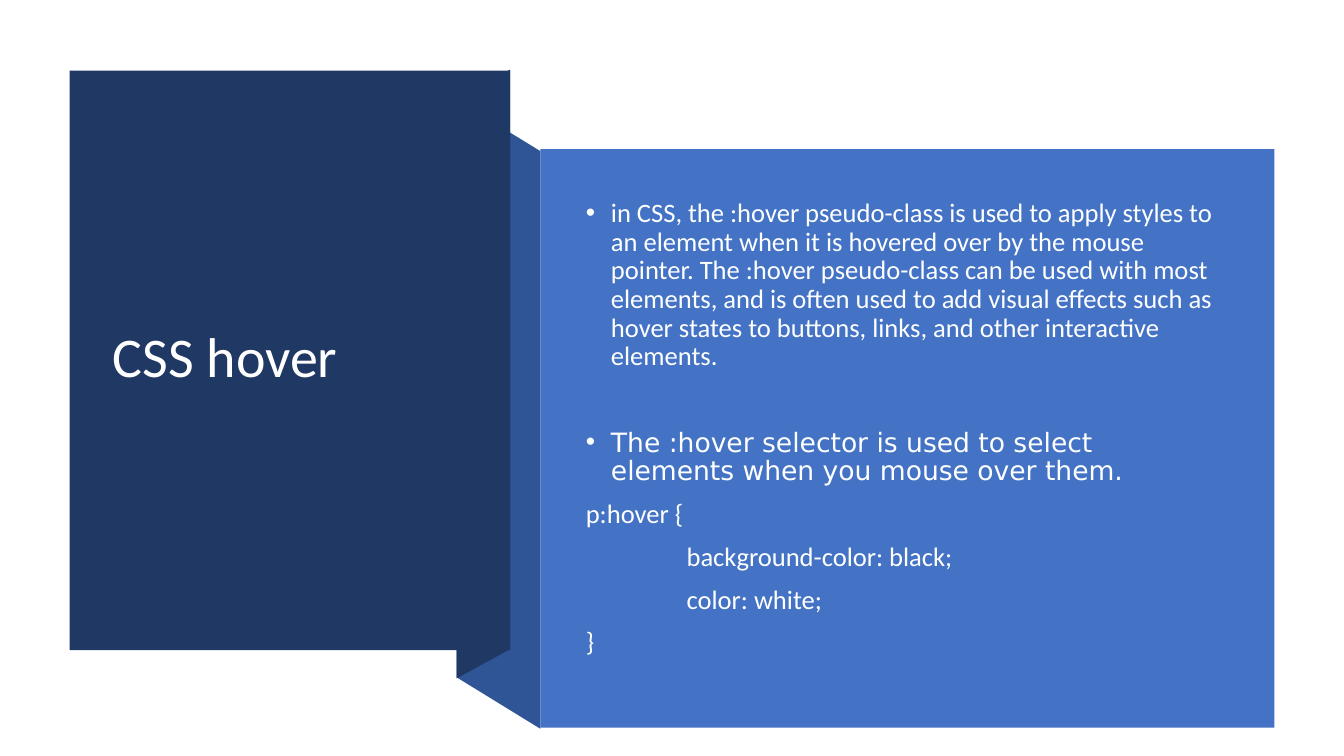
from lxml.etree import SubElement
from pptx import Presentation
from pptx.dml.color import RGBColor
from pptx.enum.shapes import MSO_SHAPE
from pptx.enum.text import MSO_ANCHOR, MSO_AUTO_SIZE, PP_ALIGN
from pptx.oxml.ns import qn
from pptx.util import Inches, Pt

NAVY = RGBColor(0x20, 0x38, 0x64)
FOLD_BLUE = RGBColor(0x2F, 0x55, 0x97)
PANEL_BLUE = RGBColor(0x44, 0x72, 0xC4)
WHITE = RGBColor(0xFF, 0xFF, 0xFF)
OFF_WHITE = RGBColor(0xFE, 0xFF, 0xFF)

DEFINITION = (
    "in CSS, the :hover pseudo-class is used to apply styles to an element when it is "
    "hovered over by the mouse pointer. The :hover pseudo-class can be used with most "
    "elements, and is often used to add visual effects such as hover states to buttons, "
    "links, and other interactive elements."
)
SELECTOR = "The :hover selector is used to select elements when you mouse over them."
RULE = [("p:hover {", 0), ("background-color: black;", 1), ("color: white;", 1), ("}", 0)]


def paint(surface, color):
    surface.shadow.inherit = False
    surface.fill.solid()
    surface.fill.fore_color.rgb = color
    surface.line.fill.background()


def add_panel(slide, left, top, width, height, color):
    panel = slide.shapes.add_shape(
        MSO_SHAPE.RECTANGLE, Inches(left), Inches(top), Inches(width), Inches(height))
    paint(panel, color)


def add_fold(slide, corners, color):
    start, *others = [(Inches(x), Inches(y)) for x, y in corners]
    outline = slide.shapes.build_freeform(*start)
    outline.add_line_segments(others, close=True)
    paint(outline.convert_to_shape(), color)


def place(slide, holder, left, top, width, height):
    holder.left, holder.top = Inches(left), Inches(top)
    holder.width, holder.height = Inches(width), Inches(height)
    slide.shapes._spTree.append(holder._element)
    frame = holder.text_frame
    frame.word_wrap = True
    frame.auto_size = MSO_AUTO_SIZE.NONE
    frame.vertical_anchor = MSO_ANCHOR.MIDDLE
    return frame


def write(paragraph, text, size=19, color=OFF_WHITE, font="Calibri",
          before=10, margin=0, bullet=False):
    paragraph.alignment = PP_ALIGN.LEFT
    paragraph.line_spacing = 0.9
    paragraph.space_before = Pt(before)
    run = paragraph.add_run()
    run.text = text
    run.font.size = Pt(size)
    run.font.name = font
    run.font.color.rgb = color
    properties = paragraph._p.get_or_add_pPr()
    properties.set("marL", str(Inches(margin)))
    properties.set("indent", str(Inches(-margin if bullet else 0)))
    if bullet:
        SubElement(properties, qn("a:buFont"), typeface="Arial")
        SubElement(properties, qn("a:buChar"), char="•")
    else:
        SubElement(properties, qn("a:buNone"))


def main():
    deck = Presentation()
    deck.slide_width, deck.slide_height = Inches(13.33), Inches(7.5)
    slide = deck.slides.add_slide(deck.slide_layouts[1])

    add_fold(slide, [(5.36, 7.23), (4.53, 6.72), (4.53, 0.99), (5.36, 1.5)], FOLD_BLUE)
    add_fold(slide, [(5.06, 6.44), (4.53, 6.73), (4.53, 0.98), (5.06, 0.69)], NAVY)
    add_panel(slide, 0.69, 0.7, 4.37, 5.75, NAVY)
    add_panel(slide, 5.36, 1.48, 7.28, 5.74, PANEL_BLUE)

    heading = place(slide, slide.shapes.title, 1.02, 1.07, 3.71, 4.99)
    write(heading.paragraphs[0], "CSS hover", size=40, color=WHITE, before=0)

    explanation = place(slide, slide.placeholders[1], 5.71, 1.88, 6.51, 4.74)
    write(explanation.paragraphs[0], DEFINITION, margin=0.25, bullet=True)
    write(explanation.add_paragraph(), SELECTOR, font="DejaVu Sans",
          before=41, margin=0.25, bullet=True)
    for code, depth in RULE:
        write(explanation.add_paragraph(), code, margin=depth)

    deck.save("out.pptx")


if __name__ == "__main__":
    main()
